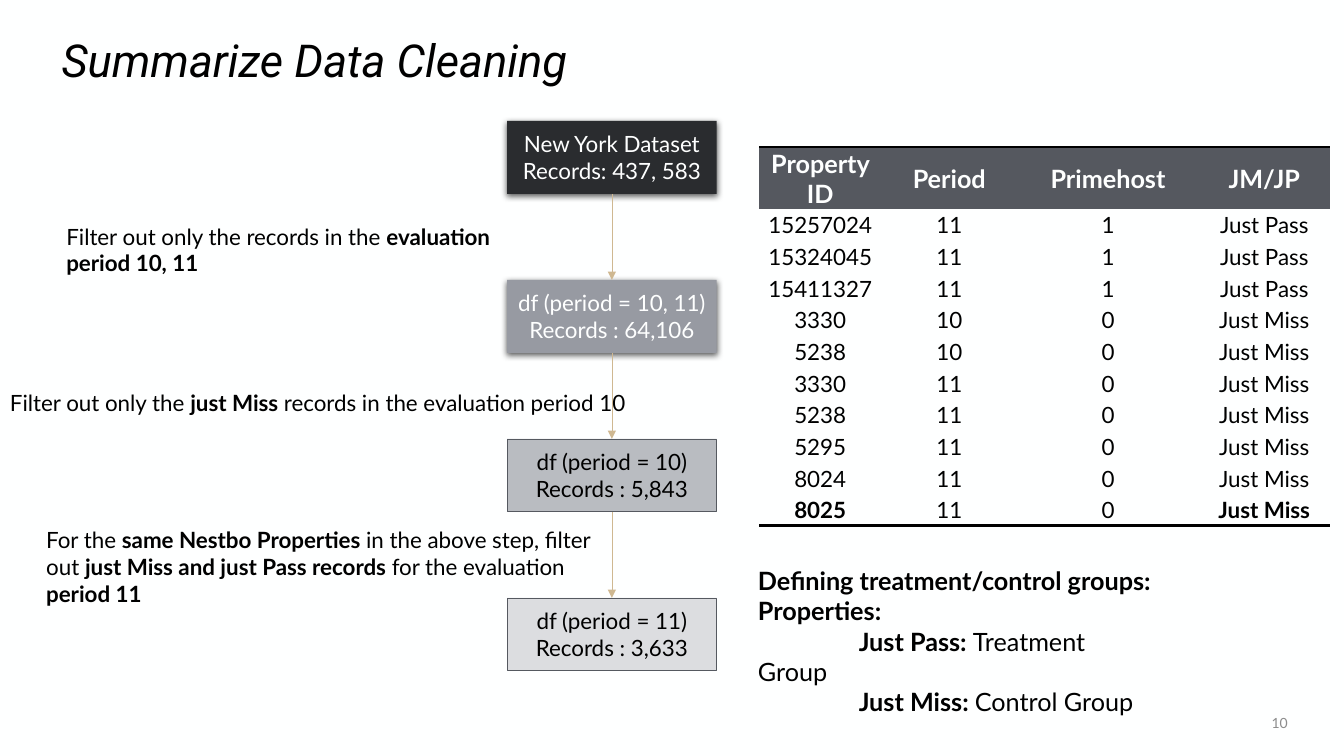
from dataclasses import dataclass
from typing import NamedTuple

from lxml import etree
from pptx import Presentation, util as u
from pptx.dml.color import RGBColor
from pptx.enum import shapes, text
from pptx.oxml import ns

WIDE, HIGH = u.Inches(13.33), u.Inches(7.5)


@dataclass(frozen=True)
class Theme:
    paper: str = "FEFFFF"
    ink: str = "000000"
    mute: str = "8C8C8C"
    edge: str = "555960"
    head: str = "55585F"
    arrow: str = "CFB891"
    font: str = "Lato"
    title_font: str = "Roboto"
    title: float = 32.4
    large: float = 18
    body: float = 16
    small: float = 10
    thin: float = 0.5
    rule: float = 2


THEME = Theme()


class Area(NamedTuple):
    """Left, top, width and height in percent of the slide."""
    left: float
    top: float
    width: float
    height: float

    def emu(self) -> tuple:
        return (across(self.left), down(self.top),
                across(self.width), down(self.height))


class Step(NamedTuple):
    lines: tuple
    fill: str
    color: str
    raised: bool


class Note(NamedTuple):
    area: Area
    words: str


def across(share: float) -> int:
    return round(WIDE * share / 100)


def down(share: float) -> int:
    return round(HIGH * share / 100)


def rgb(code: str) -> RGBColor:
    return RGBColor.from_string(code)


def assign(item, values: dict) -> None:
    for name, value in values.items():
        setattr(item, name, value)


def node(parent, tag: str, **values):
    """Append a DrawingML element."""
    return etree.SubElement(parent, ns.qn("a:" + tag), values)


def write(frame, lines: tuple, size: float, color: str = THEME.ink,
          align=text.PP_ALIGN.LEFT, font: str = THEME.font,
          italic: bool = False, anchor=text.MSO_ANCHOR.TOP) -> None:
    """Fill a text frame; words between ** marks are bold."""
    assign(frame, {"word_wrap": True, "vertical_anchor": anchor})
    for row, line in enumerate(lines):
        para = frame.paragraphs[0] if row == 0 else frame.add_paragraph()
        para.alignment = align
        for part, words in enumerate(line.split("**")):
            if words:
                run = para.add_run()
                run.text = words
                assign(run.font, {"name": font, "size": u.Pt(size),
                                  "bold": part % 2 == 1, "italic": italic})
                run.font.color.rgb = rgb(color)


def add_text(slide, area: Area, lines: tuple, size: float, **style):
    frame = slide.shapes.add_textbox(*area.emu()).text_frame
    write(frame, lines, size, **style)
    return frame


def add_step(slide, area: Area, step: Step):
    box = slide.shapes.add_shape(shapes.MSO_SHAPE.RECTANGLE, *area.emu())
    box.fill.solid()
    box.fill.fore_color.rgb = rgb(step.fill)
    box.shadow.inherit = False
    if step.raised:
        box.line.fill.background()
        cast = node(box.element.spPr.find(ns.qn("a:effectLst")), "outerShdw",
                    blurRad=str(u.Pt(4.5)), dist=str(u.Pt(1.5)),
                    dir="5400000", rotWithShape="0")
        node(node(cast, "srgbClr", val=THEME.ink), "alpha", val="63000")
    else:
        box.line.color.rgb = rgb(THEME.edge)
        box.line.width = u.Pt(THEME.thin)
    write(box.text_frame, step.lines, THEME.body, step.color,
          text.PP_ALIGN.CENTER, anchor=text.MSO_ANCHOR.MIDDLE)
    return box


def add_arrow(slide, start, end) -> None:
    link = slide.shapes.add_connector(
        shapes.MSO_CONNECTOR.STRAIGHT, 0, 0, 0, 0)
    link.begin_connect(start, 2)
    link.end_connect(end, 0)
    link.line.color.rgb = rgb(THEME.arrow)
    link.line.width = u.Pt(THEME.thin)
    node(link.line._get_or_add_ln(), "tailEnd", type="triangle")
    node(link.element.spPr, "effectLst")


def add_rule(cell, side: str) -> None:
    """Draw the top (lnT) or bottom (lnB) border of a cell."""
    props = cell._tc.get_or_add_tcPr()
    line = node(props, side, w=str(u.Pt(THEME.rule)))
    node(node(line, "solidFill"), "srgbClr", val=THEME.ink)
    props.insert(0, line)


def add_grid(slide, left: float, top: float, cols: tuple,
             rows: tuple, head: float, pitch: float) -> None:
    area = Area(left, top, sum(cols), head + pitch * (len(rows) - 1))
    table = slide.shapes.add_table(len(rows), len(cols), *area.emu()).table
    table.horz_banding = False
    # "No Style, No Grid" table style
    table._tbl.tblPr.find(ns.qn("a:tableStyleId")).text = (
        "{2D5ABB26-0587-4C30-8999-92F81FD0307C}")
    for col, share in zip(table.columns, cols):
        col.width = across(share)
    inset = u.Inches(0.01)
    for r, values in enumerate(rows):
        top_row = r == 0
        table.rows[r].height = down(head if top_row else pitch)
        for c, value in enumerate(values):
            cell = table.cell(r, c)
            assign(cell, {"margin_left": inset, "margin_right": inset,
                          "margin_top": inset, "margin_bottom": 0,
                          "vertical_anchor": text.MSO_ANCHOR.MIDDLE})
            cell.fill.solid()
            cell.fill.fore_color.rgb = rgb(
                THEME.head if top_row else THEME.paper)
            write(cell.text_frame, (value,),
                  THEME.large if top_row else THEME.body,
                  THEME.paper if top_row else THEME.ink,
                  text.PP_ALIGN.CENTER, anchor=text.MSO_ANCHOR.MIDDLE)
            if top_row:
                add_rule(cell, "lnT")
            elif r == len(rows) - 1:
                add_rule(cell, "lnB")


STEPS = (
    Step(("New York Dataset Records: 437, 583",), "2A2C2F", THEME.paper, True),
    Step(("df (period = 10, 11)", "Records : 64,106"), "979AA2", THEME.paper, True),
    Step(("df (period = 10)", "Records : 5,843"), "B9BCC1", THEME.ink, False),
    Step(("df (period = 11)", "Records : 3,633"), "DCDDE0", THEME.ink, False),
)
NOTES = (
    Note(Area(4.2, 28.8, 36.53, 4.67),
         "Filter out only the records in the **evaluation period 10, 11**"),
    Note(Area(0, 50.8, 47.86, 4.93),
         "Filter out only the **just Miss **records in the evaluation period 10"),
    Note(Area(2.7, 68.93, 44.41, 8.53),
         "For the **same Nestbo Properties **in the above step, filter out "
         "**just Miss and just Pass records **for the evaluation **period 11**"),
)
ROWS = (
    ("**Property ID**", "**Period**", "**Primehost**", "**JM/JP**"),
    *((key, "11", "1", "Just Pass") for key in ("15257024", "15324045", "15411327")),
    *((key, "10", "0", "Just Miss") for key in ("3330", "5238")),
    *((key, "11", "0", "Just Miss") for key in ("3330", "5238", "5295", "8024")),
    ("**8025**", "11", "0", "**Just Miss**"),
)
GROUPS = ("**Defining treatment/control groups:**", "**Properties:**",
          "**Just Pass: **Treatment Group", "**Just Miss: **Control Group")


def main() -> None:
    deck = Presentation()
    assign(deck, {"slide_width": WIDE, "slide_height": HIGH})
    slide = deck.slides.add_slide(deck.slide_layouts[5])
    slide.background.fill.solid()
    slide.background.fill.fore_color.rgb = rgb(THEME.paper)

    title = slide.shapes.title
    assign(title, dict(zip(("left", "top", "width", "height"),
                           Area(3.83, 4, 92.42, 8.53).emu())))
    write(title.text_frame, ("Summarize Data Cleaning",), THEME.title,
          font=THEME.title_font, italic=True, anchor=text.MSO_ANCHOR.MIDDLE)
    title.text_frame.paragraphs[0].line_spacing = 0.9
    add_text(slide, Area(86.57, 93.33, 9.98, 4.67), ("10",), THEME.small,
             color=THEME.mute, align=text.PP_ALIGN.RIGHT,
             anchor=text.MSO_ANCHOR.MIDDLE)

    boxes = [add_step(slide, Area(37.73, 16 + 21.03 * i, 15.6, 9.65), step)
             for i, step in enumerate(STEPS)]
    for start, end in zip(boxes, boxes[1:]):
        add_arrow(slide, start, end)
    for note in NOTES:
        add_text(slide, note.area, (note.words,), THEME.body)

    add_grid(slide, 56.49, 19.47, (9.08, 10.13, 13.5, 9.75), ROWS, 7.47, 4.19)
    frame = add_text(slide, Area(55.66, 74.13, 31.28, 21.6), GROUPS, THEME.large)
    for para in frame.paragraphs[2:]:
        para._p.get_or_add_pPr().set("indent", str(u.Inches(1)))
    deck.save("out.pptx")


if __name__ == "__main__":
    main()
